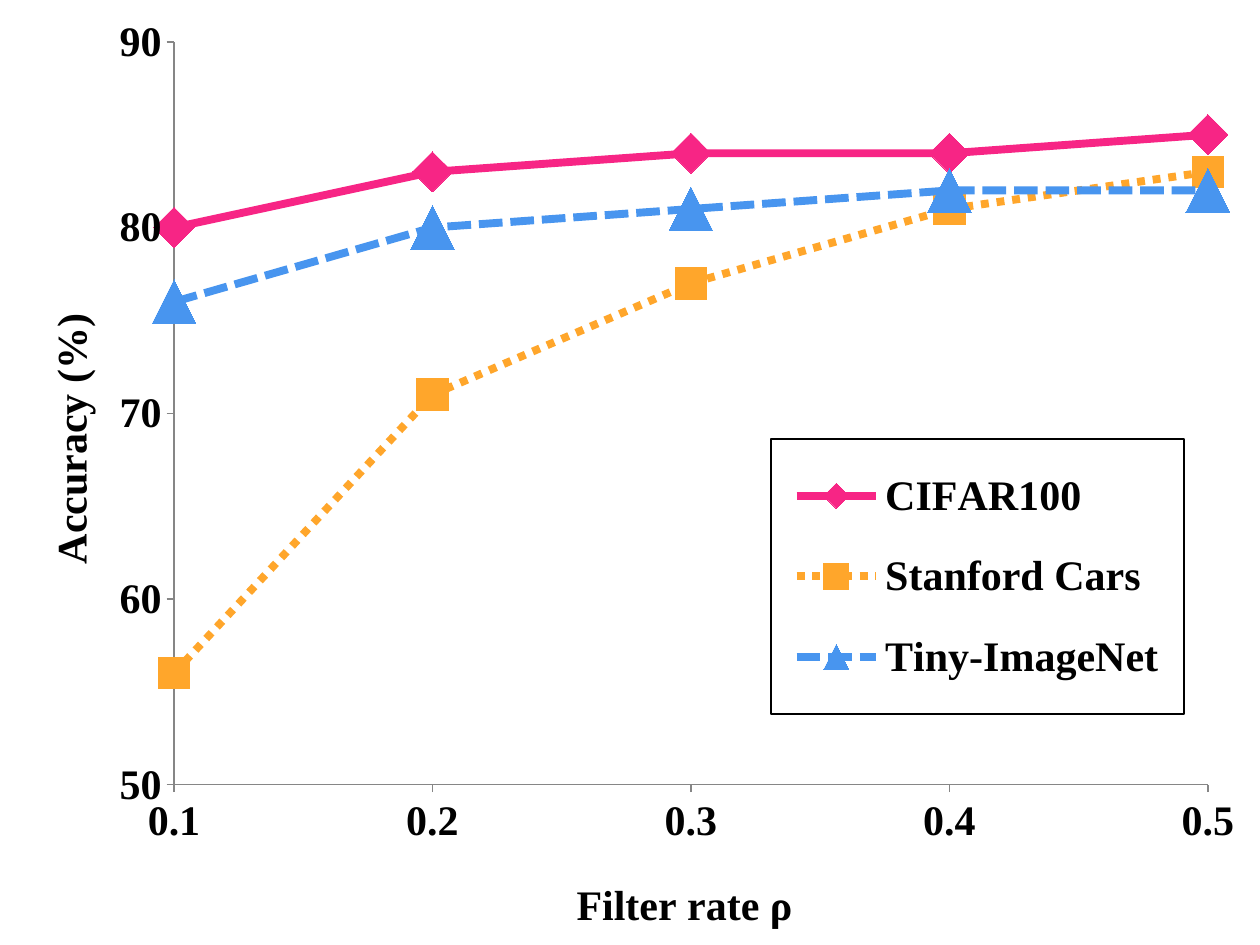
from pptx import Presentation
from pptx.chart.data import CategoryChartData as Data
from pptx.dml.color import RGBColor as Rgb
from pptx.enum.chart import XL_CHART_TYPE as Kind, XL_LEGEND_POSITION as Side
from pptx.enum.chart import XL_MARKER_STYLE as Mark, XL_TICK_MARK as Tick
from pptx.enum.dml import MSO_LINE as Dash
from pptx.oxml import parse_xml
from pptx.oxml.ns import nsdecls, qn
from pptx.util import Pt

SCALE = 914400 / 126
WIDE, HIGH = 1260, 945
COLORS = {"text": "000000", "axis": "868686", "paper": "FFFFFF",
          "pink": "F72585", "gold": "FFA62B", "blue": "4895EF"}
RATES = ["0.1", "0.2", "0.3", "0.4", "0.5"]
SERIES = [
    ("CIFAR100", [80, 83, 84, 84, 85], "pink", None, Mark.DIAMOND, 23),
    ("Stanford Cars", [56, 71, 77, 81, 83], "gold", Dash.ROUND_DOT, Mark.SQUARE, 18),
    ("Tiny-ImageNet", [76, 80, 81, 82, 82], "blue", Dash.SQUARE_DOT, Mark.TRIANGLE, 25),
]


def emu(px):
    return round(px * SCALE)


def color(name):
    return Rgb.from_string(COLORS[name])


def style(font, face="Times New Roman", size=24, bold=True, fill="text"):
    font.name, font.size, font.bold = face, Pt(size), bold
    font.color.rgb = color(fill)


def write(frame, text, **form):
    """Set the text of a frame and its format."""
    para = frame.paragraphs[0]
    run = para.add_run()
    run.text = text
    style(para.font, **form)
    style(run.font, **form)


def place(node, spot, left, top, width=None, height=None, inner=False):
    """Fix a chart part at a px position; spot is its layout's child index."""
    old = node.find(qn("c:layout"))
    if old is not None:
        spot = node.index(old)
        node.remove(old)
    parts = [("xMode", "edge"), ("yMode", "edge"),
             ("x", round(left / WIDE, 4)), ("y", round(top / HIGH, 4))]
    if width:
        parts += [("w", round(width / WIDE, 4)), ("h", round(height / HIGH, 4))]
    if inner:
        parts.insert(0, ("layoutTarget", "inner"))
    body = "".join(f'<c:{tag} val="{val}"/>' for tag, val in parts)
    node.insert(spot, parse_xml(
        f'<c:layout {nsdecls("c")}><c:manualLayout>{body}</c:manualLayout></c:layout>'))


class Deck:
    def __init__(self):
        self.show = Presentation()
        self.show.slide_width, self.show.slide_height = emu(WIDE), emu(HIGH)
        self.slide = self.show.slides.add_slide(self.show.slide_layouts[6])

    def chart(self, left, top, width, height):
        data = Data()
        data.categories = RATES
        for name, vals, *_ in SERIES:
            data.add_series(name, vals)
        chart = self.slide.shapes.add_chart(
            Kind.LINE_MARKERS, emu(left), emu(top), emu(width), emu(height), data).chart
        chart.has_title = False
        style(chart.font, face="Calibri", size=18, bold=False)
        plot = chart.plots[0]
        plot.vary_by_categories = False
        for line, (_, _, fill, dash, mark, size) in zip(plot.series, SERIES):
            self.line(line, fill, dash, mark, size)
        place(chart._chartSpace.chart.plotArea, 0, 174, 42, 1034, 743, inner=True)
        return chart

    def line(self, line, fill, dash, mark, size):
        line.smooth = False
        line.format.line.color.rgb = color(fill)
        line.format.line.width = Pt(4.5)
        if dash:
            line.format.line.dash_style = dash
        line.marker.style, line.marker.size = mark, size
        for paint in (line.marker.format.fill, line.marker.format.line.fill):
            paint.solid()
            paint.fore_color.rgb = color(fill)

    def axis(self, axis, title, left, top):
        axis.has_major_gridlines = False
        axis.major_tick_mark, axis.minor_tick_mark = Tick.OUTSIDE, Tick.NONE
        axis.format.line.color.rgb = color("axis")
        axis.format.line.width = Pt(0.75)
        style(axis.tick_labels.font)
        write(axis.axis_title.text_frame, title)
        place(axis.axis_title._element, 1, left, top)

    def span(self, axis, low, high, step):
        """Set the value range and start the lines on the axis itself."""
        axis.minimum_scale, axis.maximum_scale, axis.major_unit = low, high, step
        node = axis._element
        for old in node.findall(qn("c:crossBetween")):
            node.remove(old)
        node.find(qn("c:crosses")).addnext(parse_xml(
            f'<c:crossBetween {nsdecls("c")} val="midCat"/>'))

    def legend(self, chart, left, top, width, height):
        chart.has_legend = True
        key = chart.legend
        key.position, key.include_in_layout = Side.TOP, True
        style(key.font)
        node = key._element
        place(node, 1, left, top, width, height)
        node.find(qn("c:overlay")).addnext(parse_xml(
            f'<c:spPr {nsdecls("c", "a")}>'
            f'<a:solidFill><a:srgbClr val="{COLORS["paper"]}"/></a:solidFill>'
            f'<a:ln w="{Pt(1)}"><a:solidFill><a:srgbClr val="{COLORS["text"]}"/>'
            '</a:solidFill></a:ln></c:spPr>'))


def main():
    deck = Deck()
    chart = deck.chart(0, 0, WIDE, HIGH)
    deck.axis(chart.category_axis, "Filter rate ρ", 569, 870)
    deck.axis(chart.value_axis, "Accuracy (%)", 36, 306)
    deck.span(chart.value_axis, 50, 90, 10)
    deck.legend(chart, 771, 439, 413, 275)
    deck.show.save("out.pptx")


if __name__ == "__main__":
    main()
